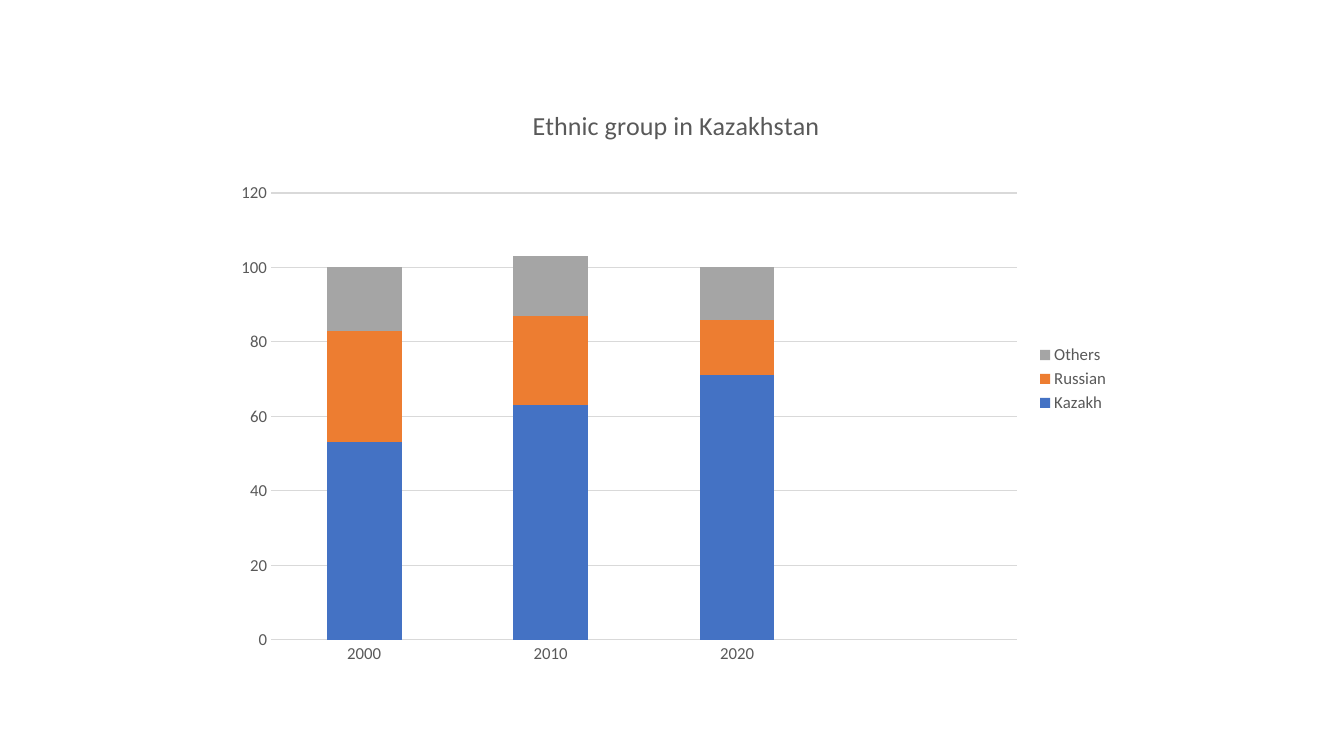
from lxml import etree
from pptx import Presentation
from pptx import util as u
from pptx.chart.data import CategoryChartData
from pptx.dml.color import RGBColor
from pptx.enum import chart as ch
from pptx.oxml import ns

PX = u.Inches(1) / 100.8
LEFT, TOP, WIDTH, HEIGHT = 224, 80, 896, 598
GRAY = "595959"


def style(font, size, color=GRAY):
    """Set the typeface, size and colour of a chart font."""
    font.name, font.size, font.bold = "Calibri", u.Pt(size), False
    font.color.rgb = RGBColor.from_string(color)


def place(layout, inner=False, **box):
    """Fix a chart part at x, y, w, h, given in slide pixels."""
    for old in list(layout):
        layout.remove(old)
    manual = etree.SubElement(layout, ns.qn("c:manualLayout"))
    values = {"layoutTarget": "inner"} if inner else {}
    values.update(xMode="edge", yMode="edge")
    origin = {"x": (LEFT, WIDTH), "y": (TOP, HEIGHT), "w": (0, WIDTH), "h": (0, HEIGHT)}
    for key, pixels in box.items():
        start, span = origin[key]
        values[key] = f"{(pixels - start) / span:.4f}"
    for tag, value in values.items():
        etree.SubElement(manual, ns.qn(f"c:{tag}")).set("val", value)


prs = Presentation()
prs.slide_width, prs.slide_height = round(1344 * PX), round(756 * PX)
slide = prs.slides.add_slide(prs.slide_layouts[6])

# Population shares by year; the last category is empty
groups = [
    ("Kazakh", [53, 63, 71, None], "4472C4"),
    ("Russian", [30, 24, 15, None], "ED7D31"),
    ("Others", [17, 16, 14, None], "A5A5A5"),
]
shares = CategoryChartData()
shares.categories = ["2000", "2010", "2020", ""]
for name, values, _ in groups:
    shares.add_series(name, values)

box = [round(side * PX) for side in (LEFT, TOP, WIDTH, HEIGHT)]
chart = slide.shapes.add_chart(ch.XL_CHART_TYPE.COLUMN_STACKED, *box, shares).chart
style(chart.font, 12)

# Columns
columns = chart.plots[0]
columns.vary_by_categories = False
columns.gap_width, columns.overlap = 150, 100
for series, (_, _, color) in zip(columns.series, groups):
    series.format.fill.solid()
    series.format.fill.fore_color.rgb = RGBColor.from_string(color)

# Axes
for axis in (chart.category_axis, chart.value_axis):
    axis.major_tick_mark = axis.minor_tick_mark = ch.XL_TICK_MARK.NONE
    axis.format.line.fill.background()
    style(axis.tick_labels.font, 12)
scale = chart.value_axis
scale.minimum_scale, scale.maximum_scale, scale.major_unit = 0, 120, 20
scale.has_major_gridlines = True
grid = scale.major_gridlines.format.line
grid.width = u.Pt(0.75)
grid.color.rgb = RGBColor.from_string("D9D9D9")

# Legend
chart.has_legend = True
chart.legend.position = ch.XL_LEGEND_POSITION.RIGHT
chart.legend.include_in_layout = False
style(chart.legend.font, 12)

# Title
chart.has_title = True
heading = chart.chart_title
heading.include_in_layout = False
heading.text_frame.text = "Ethnic group in Kazakhstan"
style(heading.text_frame.paragraphs[0].runs[0].font, 18.6)

# Fixed places for the title and the plot
title = chart._chartSpace.chart.find(ns.qn("c:title"))
title_layout = title.find(ns.qn("c:layout"))
if title_layout is None:
    title_layout = etree.Element(ns.qn("c:layout"))
    title.find(ns.qn("c:tx")).addnext(title_layout)
place(title_layout, x=528, y=102)

plot_area = chart._chartSpace.chart.plotArea
plot_layout = plot_area.find(ns.qn("c:layout"))
if plot_layout is None:
    plot_layout = etree.Element(ns.qn("c:layout"))
    plot_area.insert(0, plot_layout)
place(plot_layout, inner=True, x=271, y=193, w=746, h=447)

prs.save("out.pptx")
